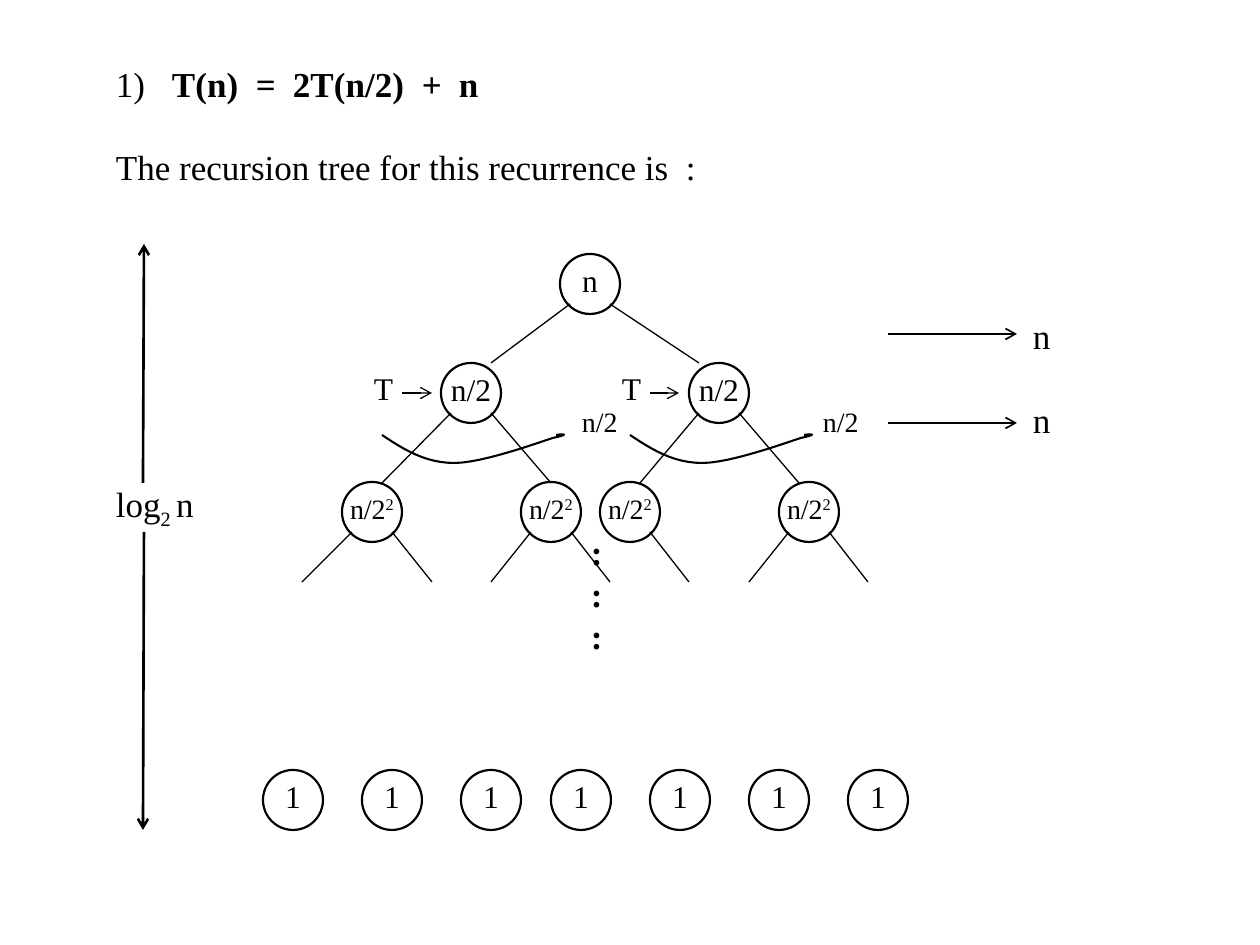
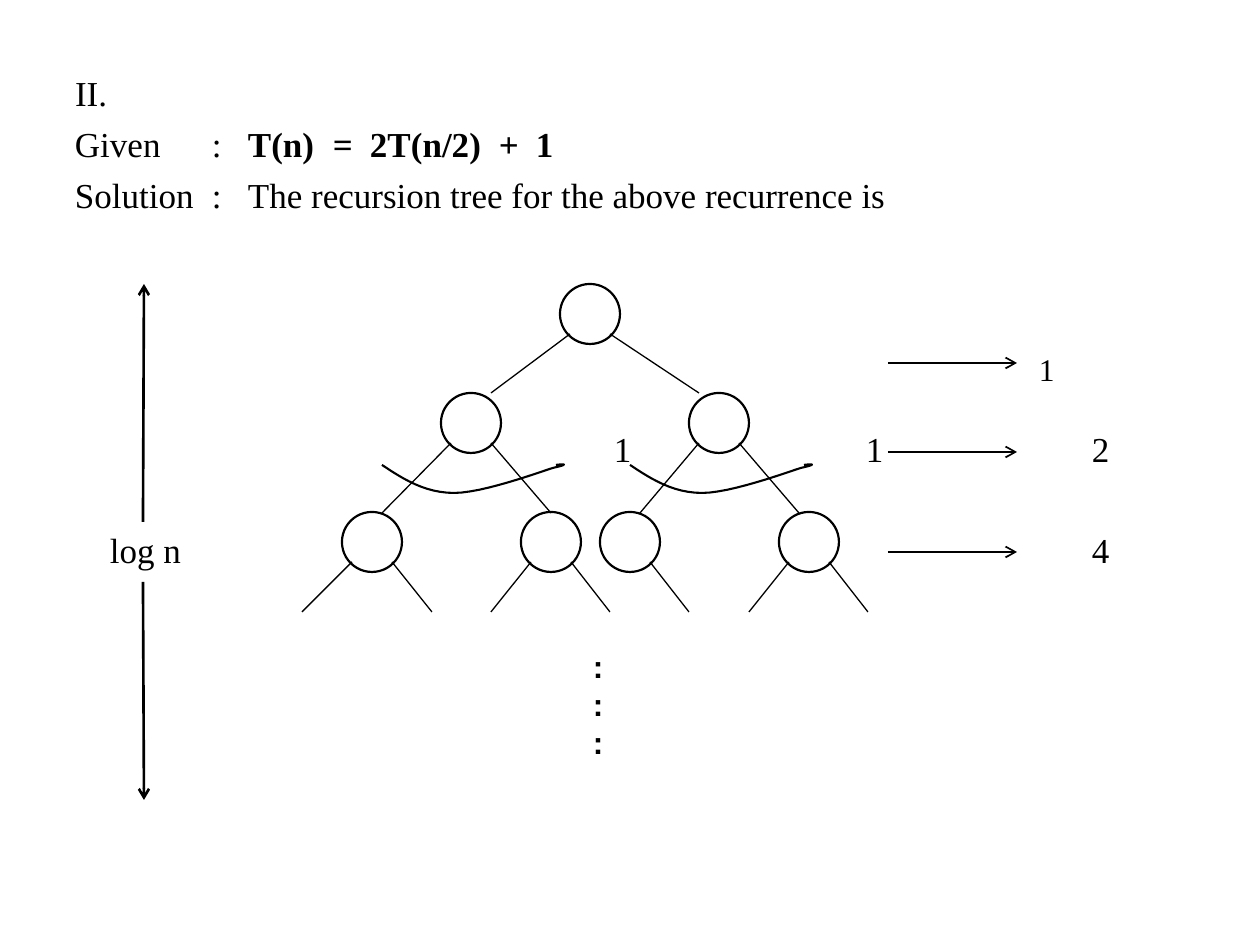
import pptx
import pptx.dml.color
import pptx.enum.shapes
import pptx.enum.text
import pptx.oxml
import pptx.oxml.ns
import pptx.util

PX = 7257
BLACK = "000000"
SERIF = "Times New Roman"
BASELINES = {"sup": "30000", "sub": "-25000"}
rgb = pptx.dml.color.RGBColor.from_string
qn = pptx.oxml.ns.qn
ALIGN = pptx.enum.text.PP_ALIGN
ANCHOR = pptx.enum.text.MSO_ANCHOR


def write(sp, paras, size, font=SERIF, wrap=True, align=ALIGN.LEFT, anchor=ANCHOR.TOP, bottom=0, tabs=(), gap=0):
    tf = sp.text_frame
    tf.word_wrap = wrap
    tf.auto_size = pptx.enum.text.MSO_AUTO_SIZE.NONE
    tf.margin_left = tf.margin_right = tf.margin_top = 0
    tf.margin_bottom = bottom * PX
    tf.vertical_anchor = anchor
    for i, runs in enumerate(paras):
        p = tf.add_paragraph() if i else tf.paragraphs[0]
        p.alignment = align
        p.space_before = pptx.util.Pt(gap if i else 0)
        if tabs:
            tab_list = pptx.oxml.parse_xml('<a:tabLst xmlns:a="http://schemas.openxmlformats.org/drawingml/2006/main"/>')
            for x in tabs:
                tab_list.append(tab_list.makeelement(qn("a:tab"), {"pos": str(x * PX), "algn": "l"}))
            p._p.get_or_add_pPr().append(tab_list)
        for text, style in runs:
            r = p.add_run()
            r.text = text
            r.font.name = font
            r.font.size = pptx.util.Pt(size)
            r.font.bold = style == "bold"
            r.font.color.rgb = rgb(BLACK)
            if style in BASELINES:
                r._r.get_or_add_rPr().set("baseline", BASELINES[style])


def line(s, x1, y1, x2, y2, width=0.75, arrow=False):
    c = s.shapes.add_connector(pptx.enum.shapes.MSO_CONNECTOR.STRAIGHT, x1 * PX, y1 * PX, x2 * PX, y2 * PX)
    c.line.color.rgb = rgb(BLACK)
    c.line.width = pptx.util.Pt(width)
    if arrow:
        ln = c.line._get_or_add_ln()
        ln.append(ln.makeelement(qn("a:tailEnd"), {"type": "arrow"}))
    sp_pr = c._element.spPr
    sp_pr.append(sp_pr.makeelement(qn("a:effectLst"), {}))


HALF = [("n/2", "")]
QUARTER = [("n/2", ""), ("2", "sup")]
NODES = [
    (560, 254, (491, 699), 363, [("n", "")], 18),
    (441, 363, (382, 551), 483, HALF, 18),
    (689, 363, (640, 799), 483, HALF, 18),
    (342, 482, (302, 432), 582, QUARTER, 16),
    (521, 482, (491, 610), 582, QUARTER, 16),
    (600, 482, (None, 689), 582, QUARTER, 16),
    (779, 482, (749, 868), 582, QUARTER, 16),
]
LEAVES = [(x, 770, (), 0, [("1", "")], 18) for x in (263, 362, 461, 551, 650, 749, 848)]
ARC_CURVES = [
    ((0, 0), (21, 14), (43, 28), (72, 28)),
    ((72, 28), (101, 28), (155, 8), (171, 3)),
    ((171, 3), (189, -1), (181, -1), (174, 0)),
]
COLON = [(":", "bold")]

SLIDES = [
    {
        "title": (116, 62, [("1)\t", ""), ("T(n)\t=\t2T(n/2)\t+\tn", "bold")], (56, 140, 177, 306, 343)),
        "shift": 0,
        "labelled": True,
        "nodes": NODES + LEAVES,
        "arrows": [(402, 393, 432, 393, 0.75), (650, 393, 679, 393, 0.75),
                   (888, 334, 1017, 334, 1), (888, 423, 1017, 423, 1),
                   (143, 483, 144, 244, 1.5), (144, 532, 143, 830, 1.5)],
        "body": (116, 146, [[("The recursion tree for this recurrence is\t:", "")]], (570,)),
        "labels": [
            (374, 369, 18, SERIF, [[("T", "")]]),
            (622, 369, 18, SERIF, [[("T", "")]]),
            (582, 405, 16, SERIF, [HALF]),
            (823, 405, 16, SERIF, [HALF]),
            (1033, 314, 20, SERIF, [[("n", "")]]),
            (1033, 398, 20, SERIF, [[("n", "")]]),
            (116, 483, 20, SERIF, [[("log", ""), ("2 ", "sub"), ("n", "")]]),
            (591, 531, 20, SERIF, [COLON] * 3),
        ],
    },
    {
        "title": (75, 71, [("II.", "")], ()),
        "shift": 30,
        "labelled": False,
        "nodes": NODES,
        "arrows": [(888, 363, 1017, 363, 1), (888, 452, 1017, 452, 1), (888, 552, 1017, 552, 1),
                   (143, 522, 144, 284, 1.5), (143, 582, 144, 800, 1.5)],
        "body": (75, 123, [
            [("Given\t:\t", ""), ("T(n)\t=\t2T(n/2)\t+\t1", "bold")],
            [("Solution\t:\tThe recursion tree for the above recurrence is", "")],
        ], (137, 173, 258, 295, 424, 461)),
        "labels": [
            (1039, 350, 18, SERIF, [[("1", "")]]),
            (614, 427, 20, SERIF, [[("1", "")]]),
            (866, 427, 20, SERIF, [[("1", "")]]),
            (1092, 427, 20, SERIF, [[("2", "")]]),
            (1092, 528, 20, SERIF, [[("4", "")]]),
            (110, 528, 20, SERIF, [[("log n", "")]]),
            (593, 647, 18, "Arial", [COLON] * 3),
        ],
    },
]

prs = pptx.Presentation()
prs.slide_width = 1260 * PX
prs.slide_height = 945 * PX

for page in SLIDES:
    s = prs.slides.add_slide(prs.slide_layouts[5])
    shift = page["shift"]

    x, y, runs, tabs = page["title"]
    title = s.shapes.title
    title.left, title.top, title.width, title.height = x * PX, y * PX, 1000 * PX, 44 * PX
    write(title, [runs], 20, tabs=tabs)

    x, y, paras, tabs = page["body"]
    body = s.shapes.add_textbox(x * PX, y * PX, 1000 * PX, 50 * len(paras) * PX)
    write(body, paras, 20, tabs=tabs, gap=5)

    for x, y, feet, foot_y, label, size in page["nodes"]:
        y += shift
        node = s.shapes.add_shape(pptx.enum.shapes.MSO_SHAPE.OVAL, x * PX, y * PX, 60 * PX, 60 * PX)
        node.shadow.inherit = False
        node.fill.background()
        node.line.color.rgb = rgb(BLACK)
        node.line.width = pptx.util.Pt(1.25)
        if page["labelled"]:
            write(node, [label], size, wrap=False, align=ALIGN.CENTER, anchor=ANCHOR.MIDDLE, bottom=8)
        for start_x, foot_x in zip((x + 10, x + 50), feet):
            if foot_x:
                line(s, start_x, y + 50, foot_x, foot_y + shift)

    for arc_x in (382, 630):
        points = []
        for a, b, c, d in ARC_CURVES:
            for step in range(1, 13):
                t = step / 12
                u = 1 - t
                points.append([u**3 * a[k] + 3 * u * u * t * b[k] + 3 * u * t * t * c[k] + t**3 * d[k] for k in (0, 1)])
        arc_y = 435 + shift
        fb = s.shapes.build_freeform(arc_x * PX, arc_y * PX)
        fb.add_line_segments([(round((arc_x + dx) * PX), round((arc_y + dy) * PX)) for dx, dy in points], close=False)
        arc = fb.convert_to_shape()
        arc.shadow.inherit = False
        arc.fill.background()
        arc.line.color.rgb = rgb(BLACK)
        arc.line.width = pptx.util.Pt(1.19)

    for x1, y1, x2, y2, width in page["arrows"]:
        line(s, x1, y1, x2, y2, width, arrow=True)

    for x, y, size, font, paras in page["labels"]:
        box = s.shapes.add_textbox(x * PX, y * PX, 100 * PX, 42 * len(paras) * PX)
        write(box, paras, size, font)

prs.save("out.pptx")
